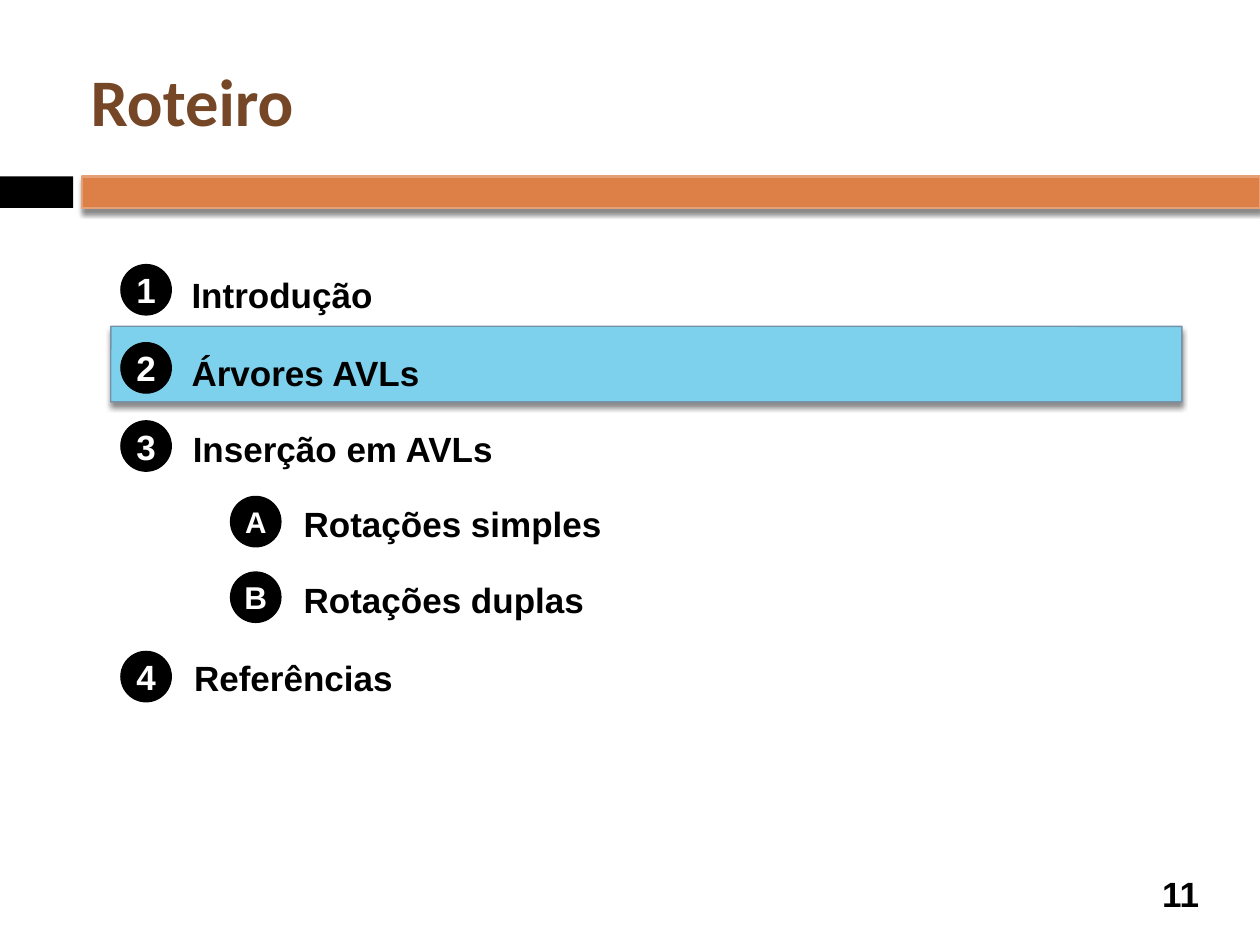
import pptx
import pptx.util
import pptx.dml.color
import pptx.enum.shapes
import pptx.enum.text
import pptx.oxml
import pptx.oxml.ns

Inches = pptx.util.Inches
Pt = pptx.util.Pt
Shape = pptx.enum.shapes.MSO_SHAPE
Anchor = pptx.enum.text.MSO_ANCHOR
Align = pptx.enum.text.PP_ALIGN
AutoSize = pptx.enum.text.MSO_AUTO_SIZE


def color(value):
    return pptx.dml.color.RGBColor.from_string(value)


def write(frame, text, size=20, font="Arial", fill="000000", align=Align.LEFT,
          anchor=Anchor.TOP, wrap=False, fit=AutoSize.SHAPE_TO_FIT_TEXT):
    frame.word_wrap = wrap
    frame.auto_size = fit
    frame.vertical_anchor = anchor
    frame.margin_left = frame.margin_right = Inches(0.05)
    frame.margin_top = frame.margin_bottom = Inches(0.05)
    para = frame.paragraphs[0]
    para.alignment = align
    span = para.add_run()
    span.text = text
    span.font.size = Pt(size)
    span.font.name = font
    span.font.bold = True
    span.font.color.rgb = color(fill)


class Outline:
    black = "000000"
    white = "FFFFFF"
    brown = "754726"
    circle = 0.4
    line_height = 0.41

    def __init__(self, page):
        self.page = page

    def title(self, text):
        box = self.page.shapes.title
        box.left, box.top = Inches(0.67), Inches(0.25)
        box.width, box.height = Inches(8.92), Inches(1.08)
        write(box.text_frame, text, size=38, font="Calibri", fill=self.brown,
              anchor=Anchor.MIDDLE, wrap=True, fit=AutoSize.NONE)

    def block(self, kind, left, top, width, height, fill, line=None, weight=0.75,
              shadow=False, parent=None):
        shapes = (parent or self.page).shapes
        box = shapes.add_shape(kind, Inches(left), Inches(top), Inches(width), Inches(height))
        box.shadow.inherit = False
        box.fill.solid()
        box.fill.fore_color.rgb = color(fill)
        if line:
            box.line.color.rgb = color(line)
            box.line.width = Pt(weight)
        else:
            box.line.fill.background()
        if shadow:
            self.cast_shadow(box)
        return box

    def cast_shadow(self, box):
        effects = box._element.spPr.find(pptx.oxml.ns.qn("a:effectLst"))
        effects.append(pptx.oxml.parse_xml(
            f'<a:outerShdw {pptx.oxml.ns.nsdecls("a")} blurRad="{Pt(3)}" dist="{Pt(2.4)}" '
            'dir="5400000" rotWithShape="0"><a:srgbClr val="000000">'
            '<a:alpha val="45000"/></a:srgbClr></a:outerShdw>'))

    def text(self, text, left, top, width, height=line_height, parent=None, **style):
        shapes = (parent or self.page).shapes
        box = shapes.add_textbox(Inches(left), Inches(top), Inches(width), Inches(height))
        write(box.text_frame, text, **style)

    def badge(self, mark, left, top, size):
        group = self.page.shapes.add_group_shape()
        self.block(Shape.OVAL, left, top, self.circle, self.circle, self.black,
                   line=self.black, parent=group)
        width, height = 0.28, size * 0.02 + 0.01
        self.text(mark, left + (self.circle - width) / 2, top + (self.circle - height) / 2,
                  width, height, parent=group, size=size, fill=self.white,
                  align=Align.CENTER, anchor=Anchor.MIDDLE)


def main():
    deck = pptx.Presentation()
    deck.slide_width, deck.slide_height = Inches(10), Inches(7.5)
    outline = Outline(deck.slides.add_slide(deck.slide_layouts[5]))

    outline.block(Shape.RECTANGLE, 0, 1.4, 0.58, 0.25, outline.black)
    outline.block(Shape.RECTANGLE, 0.65, 1.4, 9.35, 0.25, "DD8047",
                  line="E5A075", weight=1.5, shadow=True)
    outline.title("Roteiro")
    highlight = outline.block(Shape.ROUNDED_RECTANGLE, 0.88, 2.59, 8.5, 0.6, "7ED1EC",
                              line="7692A8", weight=0.79, shadow=True)
    highlight.adjustments[0] = 0.003

    topics = [
        ("1", 20, 0.96, 2.1, "Introdução", 1.47, 2.12, 1.55),
        ("2", 20, 0.96, 2.72, "Árvores AVLs", 1.47, 2.74, 1.92),
        ("3", 20, 0.96, 3.34, "Inserção em AVLs", 1.48, 3.34, 2.49),
        ("A", 17, 1.83, 3.94, "Rotações simples", 2.36, 3.94, 2.47),
        ("B", 18, 1.83, 4.54, "Rotações duplas", 2.36, 4.54, 2.34),
        ("4", 20, 0.96, 5.17, "Referências", 1.49, 5.16, 1.69),
    ]
    for mark, size, badge_left, badge_top, label, left, top, width in topics:
        outline.badge(mark, badge_left, badge_top, size)
        outline.text(label, left, top, width)

    outline.text("11", 9.08, 6.89, 0.58, align=Align.CENTER, anchor=Anchor.MIDDLE,
                 wrap=True, fit=AutoSize.NONE)
    deck.save("out.pptx")


if __name__ == "__main__":
    main()
